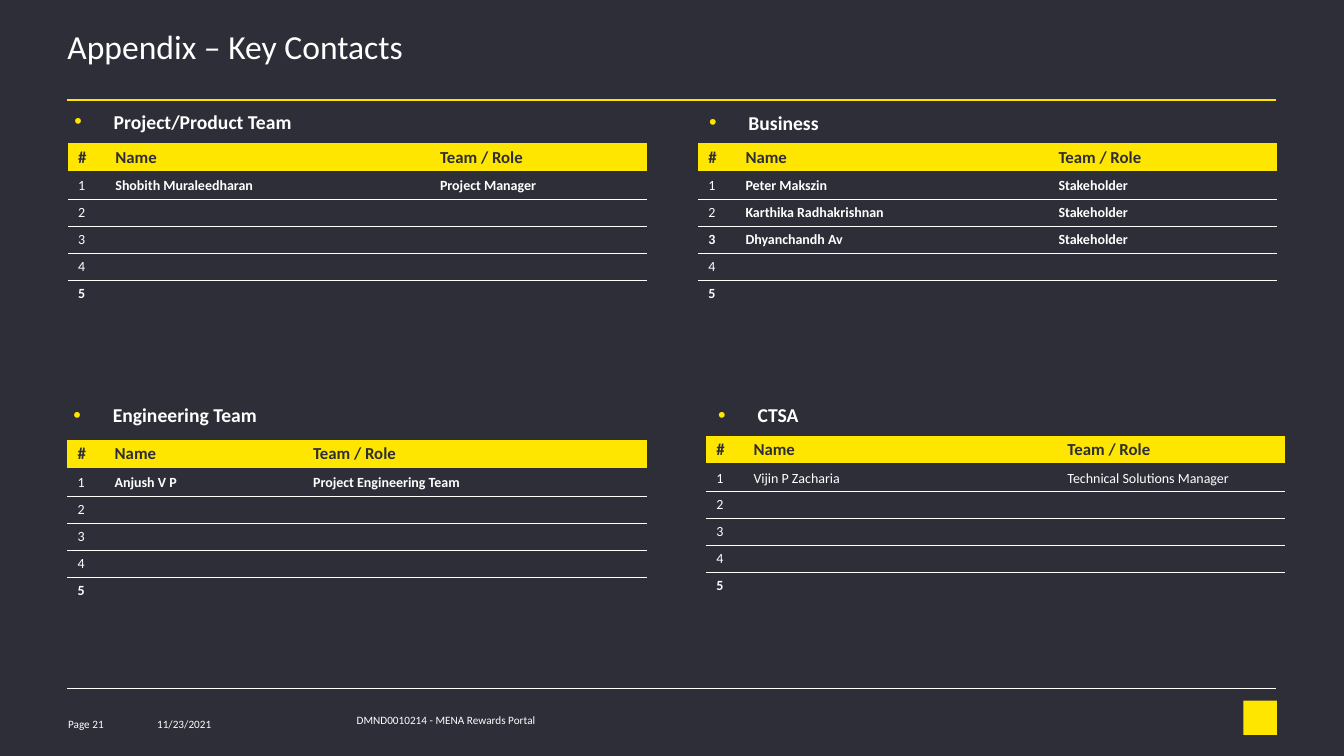
import pptx
import pptx.util
import pptx.dml.color
import pptx.enum.shapes
import pptx.enum.text
import pptx.oxml
import pptx.oxml.ns
from lxml import etree

Pt = pptx.util.Pt
COLORS = {"dark": "2E2E38", "yellow": "FFE600", "white": "FFFFFF"}
RGB = {name: pptx.dml.color.RGBColor.from_string(value) for name, value in COLORS.items()}
DRAWING = pptx.oxml.ns.nsdecls("a")
ANCHOR = pptx.enum.text.MSO_ANCHOR

deck = pptx.Presentation()
deck.slide_width, deck.slide_height = Pt(960.5), Pt(540)
page = deck.slides.add_slide(deck.slide_layouts[6])
page.background.fill.solid()
page.background.fill.fore_color.rgb = RGB["dark"]


def add_span(para, text, size, color="white", bold=False):
    span = para.add_run()
    span.text = text
    span.font.name = "Calibri"
    span.font.size = Pt(size)
    span.font.bold = bold
    span.font.color.rgb = RGB[color]


def add_box(left, top, width, height, anchor, inset=True):
    box = page.shapes.add_textbox(Pt(left), Pt(top), Pt(width), Pt(height))
    frame = box.text_frame
    frame.word_wrap = True
    frame.vertical_anchor = anchor
    if not inset:
        frame.margin_left = frame.margin_right = frame.margin_top = frame.margin_bottom = 0
    return frame.paragraphs[0]


title = add_box(48.2, 23, 864.7, 46.8, ANCHOR.TOP, inset=False)
title.line_spacing = 0.85
add_span(title, "Appendix – Key Contacts", 24)

for top, color, weight in [(71.3, "yellow", 1.5), (491.8, "white", 0.25)]:
    rule = page.shapes.add_connector(
        pptx.enum.shapes.MSO_CONNECTOR.STRAIGHT, Pt(48), Pt(top), Pt(912.2), Pt(top))
    rule.line.color.rgb = RGB[color]
    rule.line.width = Pt(weight)
    etree.SubElement(rule._element.spPr, pptx.oxml.ns.qn("a:effectLst"))

teams = [
    {"heading": "Project/Product Team", "heading_at": (46.1, 74.9), "table_at": (48.7, 101.5),
     "columns": (26.6, 232, 155.4), "bold_names": True, "bold_numbers": (5,),
     "people": [("Shobith Muraleedharan", "Project Manager")]},
    {"heading": "Business", "heading_at": (499.7, 75.6), "table_at": (499, 101.5),
     "columns": (26.6, 223.7, 163.7), "bold_names": True, "bold_numbers": (3, 5),
     "people": [("Peter Makszin", "Stakeholder"),
                ("Karthika Radhakrishnan", "Stakeholder"),
                ("Dhyanchandh Av", "Stakeholder")]},
    {"heading": "Engineering Team", "heading_at": (45.4, 284.4), "table_at": (48.2, 313.5),
     "columns": (26.6, 141.8, 245.6), "bold_names": True, "bold_numbers": (5,),
     "people": [("Anjush V P", "Project Engineering Team")]},
    {"heading": "CTSA", "heading_at": (506.2, 284.4), "table_at": (504.7, 310.3),
     "columns": (26.6, 224.4, 163), "bold_names": False, "bold_numbers": (5,),
     "people": [("Vijin P Zacharia", "Technical Solutions Manager")]},
]
ROW_COUNT = 6
ROW_EDGES = [("dark", 2)] * 2 + [("white", 0.5)] * 4 + [("dark", 2)]

for team in teams:
    heading = add_box(*team["heading_at"], 414, 23, ANCHOR.TOP)
    indent = heading._p.get_or_add_pPr()
    indent.set("marL", str(Pt(28.1)))
    indent.set("indent", str(-Pt(28.1)))
    for bullet in (f'<a:buClr {DRAWING}><a:srgbClr val="{COLORS["yellow"]}"/></a:buClr>',
                   f'<a:buSzPct {DRAWING} val="110000"/>',
                   f'<a:buFont {DRAWING} typeface="Arial"/>',
                   f'<a:buChar {DRAWING} char="•"/>'):
        indent.append(pptx.oxml.parse_xml(bullet))
    add_span(heading, team["heading"], 14, bold=True)

    left, top = team["table_at"]
    table = page.shapes.add_table(
        ROW_COUNT, 3, Pt(left), Pt(top), Pt(414), Pt(117.5)).table
    table.horz_banding = False
    table.first_row = False
    for column, width in zip(table.columns, team["columns"]):
        column.width = Pt(width)
    for row_index, row in enumerate(table.rows):
        is_header = row_index == 0
        row.height = Pt(21.5 if is_header else 19.2)
        if is_header:
            texts = ("#", "Name", "Team / Role")
        elif row_index <= len(team["people"]):
            texts = (str(row_index), *team["people"][row_index - 1])
        else:
            texts = (str(row_index), "", "")
        for column_index, (cell, text) in enumerate(zip(row.cells, texts)):
            properties = cell._tc.get_or_add_tcPr()
            for side in ("lnL", "lnR"):
                properties.append(pptx.oxml.parse_xml(
                    f'<a:{side} {DRAWING} w="0"><a:noFill/></a:{side}>'))
            for side, (color, weight) in zip(("lnT", "lnB"), ROW_EDGES[row_index:row_index + 2]):
                properties.append(pptx.oxml.parse_xml(
                    f'<a:{side} {DRAWING} w="{Pt(weight)}"><a:solidFill>'
                    f'<a:srgbClr val="{COLORS[color]}"/></a:solidFill></a:{side}>'))
            para = cell.text_frame.paragraphs[0]
            if is_header:
                cell.fill.solid()
                cell.fill.fore_color.rgb = RGB["yellow"]
                add_span(para, text, 12, "dark", True)
                continue
            cell.fill.background()
            if text:
                bold = team["bold_names"] if column_index else row_index in team["bold_numbers"]
                add_span(para, text, 10, bold=bold)
            else:
                para._p.get_or_add_endParaRPr().set("sz", "1000")

for text, left, width, height in [
    ("Page 21", 48.7, 52.6, 14.4),
    ("11/23/2021", 112.3, 93.6, 14.4),
    ("DMND0010214 - MENA Rewards Portal", 254.9, 302.4, 8.6),
]:
    footer = add_box(left, 509.8, width, height, ANCHOR.MIDDLE, inset=False)
    add_span(footer, text, 8)

emblem = page.shapes.add_shape(
    pptx.enum.shapes.MSO_SHAPE.RECTANGLE, Pt(888.5), Pt(500.4), Pt(24), Pt(24.5))
emblem.shadow.inherit = False
emblem.fill.solid()
emblem.fill.fore_color.rgb = RGB["yellow"]
emblem.line.fill.background()

deck.save("out.pptx")
